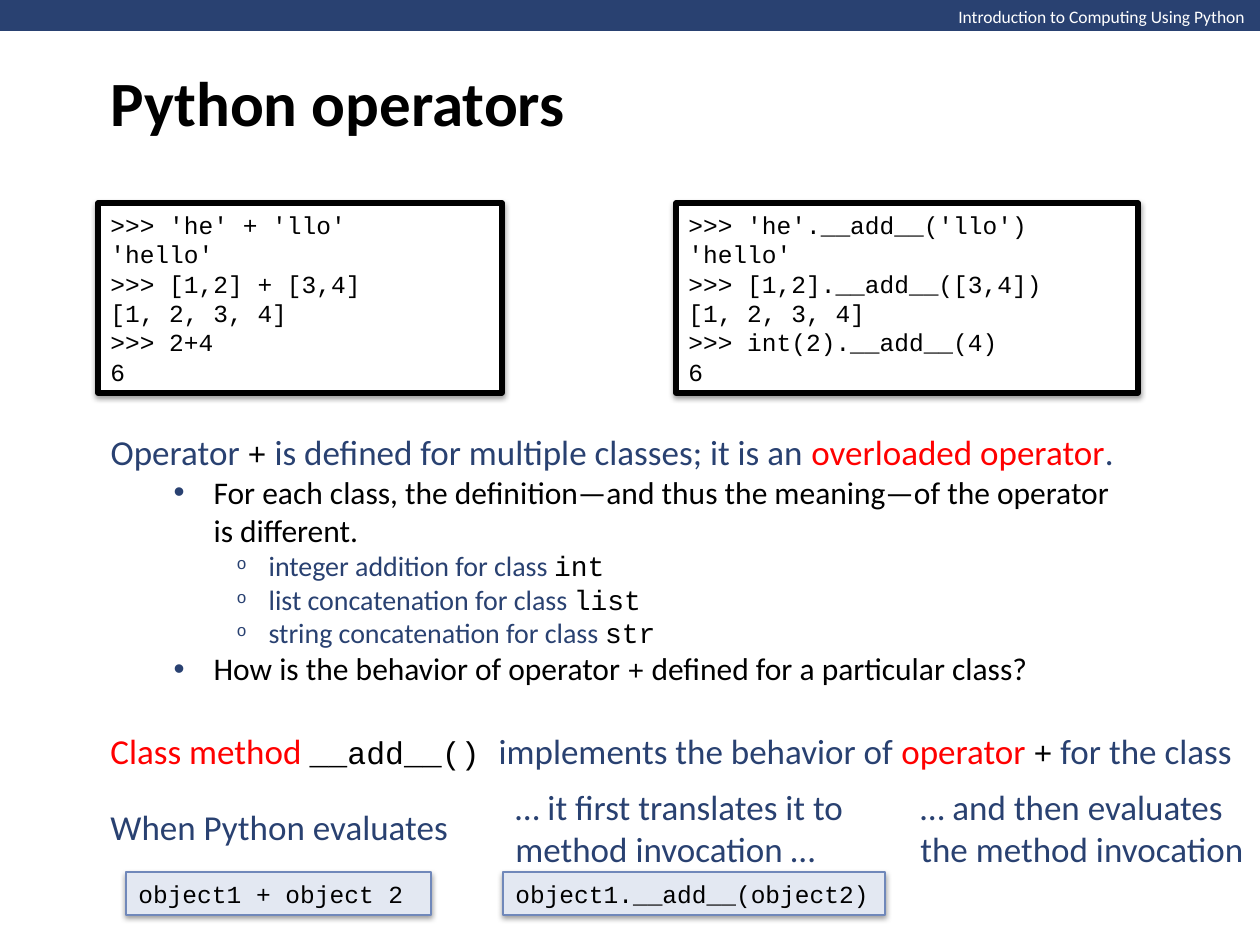
from lxml.etree import SubElement
from pptx import Presentation
from pptx.dml.color import RGBColor
from pptx.enum.shapes import MSO_SHAPE as Preset
from pptx.enum.text import MSO_ANCHOR as Anchor, MSO_AUTO_SIZE as AutoSize, PP_ALIGN as Align
from pptx.oxml.ns import qn
from pptx.util import Inches, Pt

PX = 7257  # EMU in one px, 126 px to the inch
NAVY, BLACK, RED, WHITE = "294171", "000000", "FF0000", "FFFFFF"
SANS, MONO = "Calibri", "Courier New"


def color(hex_string):
    return RGBColor.from_string(hex_string)


def write(shape, paragraphs, size=20, font=SANS, fill=NAVY, bold=False, wrap=True, anchor=Anchor.MIDDLE):
    """Fill a shape; a paragraph is a string or a list of (text, overrides) runs."""
    frame = shape.text_frame
    frame.word_wrap = wrap
    frame.auto_size = AutoSize.NONE
    frame.vertical_anchor = anchor
    for index, runs in enumerate(paragraphs):
        paragraph = frame.paragraphs[0] if index == 0 else frame.add_paragraph()
        paragraph.alignment = Align.LEFT
        paragraph.space_before = Pt(0)
        for text, changes in [(runs, {})] if isinstance(runs, str) else runs:
            look = {"size": size, "font": font, "fill": fill} | changes
            run = paragraph.add_run()
            run.text = text
            run.font.size = Pt(look["size"])
            run.font.name = look["font"]
            run.font.bold = bold
            run.font.color.rgb = color(look["fill"])


presentation = Presentation()
presentation.slide_width, presentation.slide_height = Inches(10), Inches(7.5)
slide = presentation.slides.add_slide(presentation.slide_layouts[1])
title, body = slide.placeholders

# Header band
band = slide.shapes.add_shape(Preset.RECTANGLE, 0, 0, 1261 * PX, 31 * PX)
band.shadow.inherit = False
band.fill.solid()
band.fill.fore_color.rgb = color(NAVY)
band.line.fill.background()
course = slide.shapes.add_textbox(946 * PX, 0, 315 * PX, 34 * PX)
write(course, ["Introduction to Computing Using Python"], size=10, fill=WHITE, wrap=False, anchor=Anchor.TOP)

# Title and body
title.left, title.top, title.width, title.height = 98 * PX, 0, 1099 * PX, 203 * PX
write(title, ["Python operators"], size=36, fill=BLACK, bold=True)

body.left, body.top, body.width, body.height = 98 * PX, 421 * PX, 1041 * PX, 276 * PX
red = {"fill": RED}
point = {"size": 18, "fill": BLACK}
detail = {"size": 16}
code = {"font": MONO, "fill": BLACK}
plus = code | {"size": 18}
write(body, [
    [("Operator ", {}), ("+", plus), (" is defined for multiple classes; it is an ", {}),
     ("overloaded operator", red), (".", {})],
    [("For each class, the definition—and thus the meaning—of the operator is different.", point)],
    *[[(f"{action} for class ", detail), (name, code | detail)] for action, name in [
        ("integer addition", "int"), ("list concatenation", "list"), ("string concatenation", "str")]],
    [("How is the behavior of operator ", point), ("+", code | detail),
     (" defined for a particular class?", point)],
])

# Bullet levels: left margin px, hanging px, sign, size in percent
bullets = {1: (103, 40, "•", 100), 2: (158, 32, "o", 60)}
for paragraph, level in zip(body.text_frame.paragraphs, [0, 1, 2, 2, 2, 1]):
    paragraph.level = level
    properties = paragraph._p.get_or_add_pPr()
    if level == 0:
        properties.set("marL", "0")
        properties.set("indent", "0")
        SubElement(properties, qn("a:buNone"))
        continue
    margin, hanging, sign, percent = bullets[level]
    properties.set("marL", str(margin * PX))
    properties.set("indent", str(-hanging * PX))
    SubElement(SubElement(properties, qn("a:buClr")), qn("a:srgbClr"), val=NAVY)
    SubElement(properties, qn("a:buSzPct"), val=str(percent * 1000))
    SubElement(properties, qn("a:buFont"), typeface="Arial" if level == 1 else MONO)
    SubElement(properties, qn("a:buChar"), char=sign)

# Code boxes: left, top, width, height, fill, line colour, line width, lines
session = (WHITE, BLACK, 3)
snippet = ("E3E8F2", "7088BA", 0.75)
code_boxes = [
    (98, 203, 404, 190, *session,
     [">>> 'he' + 'llo'", "'hello'", ">>> [1,2] + [3,4]", "[1, 2, 3, 4]", ">>> 2+4", "6"]),
    (676, 203, 462, 190, *session,
     [">>> 'he'.__add__('llo')", "'hello'", ">>> [1,2].__add__([3,4])", "[1, 2, 3, 4]",
      ">>> int(2).__add__(4)", "6"]),
    (126, 872, 305, 43, *snippet, ["object1 + object 2"]),
    (503, 872, 382, 43, *snippet, ["object1.__add__(object2)"]),
]
for left, top, width, height, fill, line, line_width, lines in code_boxes:
    box = slide.shapes.add_shape(Preset.RECTANGLE, left * PX, top * PX, width * PX, height * PX)
    box.fill.solid()
    box.fill.fore_color.rgb = color(fill)
    box.line.color.rgb = color(line)
    box.line.width = Pt(line_width)
    box.shadow.inherit = False
    effects = box._element.spPr.find(qn("a:effectLst"))
    shadow = SubElement(effects, qn("a:outerShdw"), blurRad="40000", dist="20000", dir="5400000", rotWithShape="0")
    SubElement(SubElement(shadow, qn("a:srgbClr"), val=BLACK), qn("a:alpha"), val="38000")
    write(box, lines, size=14, font=MONO, fill=BLACK)

# Explanations: left, top, width, height, wrap, paragraphs
explanations = [
    (98, 723, 1159, 55, False, [
        [("Class method ", red), ("__add__() ", plus), ("implements the behavior of ", {}),
         ("operator ", red), ("+", plus), (" for the class", {})]]),
    (98, 799, 367, 55, False, ["When Python evaluates"]),
    (503, 779, 358, 97, True, ["… it first translates it to method invocation …"]),
    (908, 779, 353, 97, False, ["… and then evaluates", "the method invocation"]),
]
for left, top, width, height, wrap, paragraphs in explanations:
    text_box = slide.shapes.add_textbox(left * PX, top * PX, width * PX, height * PX)
    write(text_box, paragraphs, wrap=wrap)

presentation.save("out.pptx")
